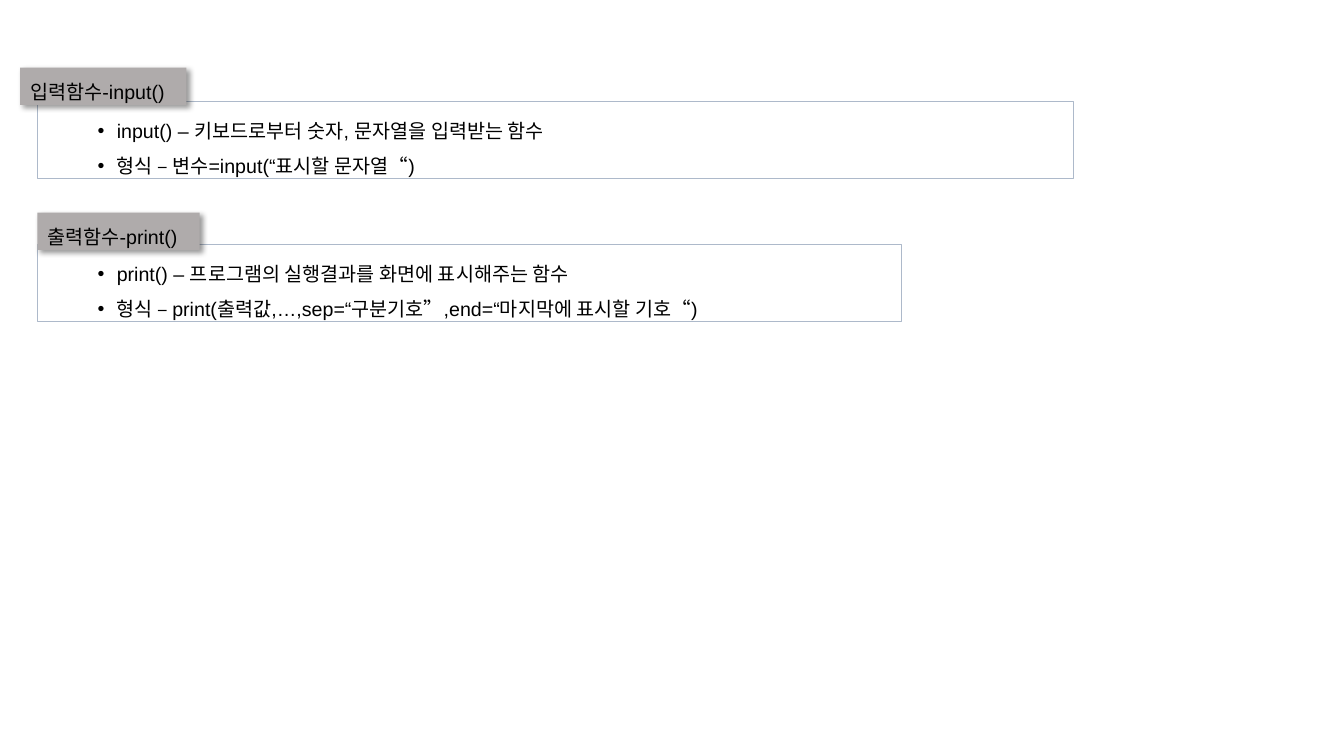
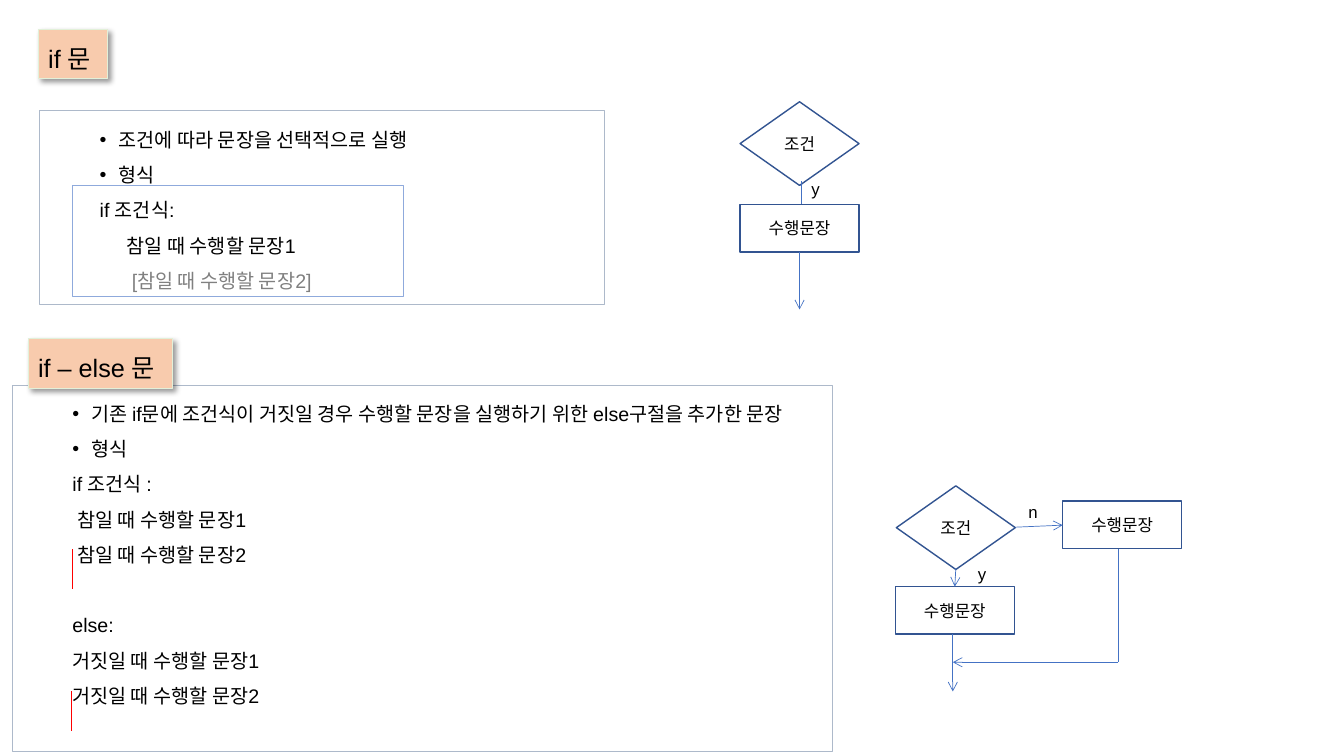
import lxml.etree
import pptx
import pptx.dml.color
import pptx.enum.shapes
import pptx.enum.text
import pptx.oxml.ns
import pptx.util

LATIN = "Arial"
KOREAN = "Noto Sans CJK KR"
BLACK = "000000"
GRAY = "808080"
RED = "FF0000"
PANEL_LINE = "ADB9CA"
CODE_LINE = "8FAADC"
FLOW_LINE = "325491"
ARROW_LINE = "4472C4"
GRAY_TAG = "AFABAB"
PEACH_TAG = "F8CBAD"
PEACH_TAG_LINE = "E2F0D9"

SHAPES = pptx.enum.shapes.MSO_SHAPE
BULLET = {"margin": 69, "hanging": 19, "bullet": "•"}
PLAIN = {"margin": 50}
NODE_WIDTH, DIAMOND_HEIGHT, STEP_HEIGHT = 118, 83, 47


def px(value):
    """Turn px into EMU at 100 px to the inch."""
    return pptx.util.Emu(value * 9144)


def color(value):
    """Turn a hex string into a colour."""
    return pptx.dml.color.RGBColor.from_string(value)


def child(parent, tag, **attributes):
    """Append a drawing element with attributes."""
    element = lxml.etree.SubElement(parent, pptx.oxml.ns.qn(tag))
    for name, value in attributes.items():
        element.set(name, str(value))
    return element


def write(paragraph, text, size=14, font=LATIN, fill=BLACK, spacing=None, before=0,
          level=0, margin=0, hanging=0, bullet=None, align=None):
    """Write one formatted paragraph."""
    paragraph.level = level
    paragraph.alignment = align
    if spacing:
        paragraph.line_spacing = spacing
    if before:
        paragraph.space_before = pptx.util.Pt(before)
    properties = paragraph._p.get_or_add_pPr()
    properties.set("marL", str(px(margin)))
    properties.set("indent", str(px(-hanging)))
    if bullet:
        child(properties, "a:buFont", typeface=LATIN)
        child(properties, "a:buChar", char=bullet)
    run = paragraph.add_run()
    run.text = text
    run.font.size = pptx.util.Pt(size)
    run.font.name = font
    run.font.color.rgb = color(fill)
    child(run.font._element, "a:ea", typeface=KOREAN)


class Deck:
    """Hold the presentation style and the current slide."""

    def __init__(self):
        """Start an empty wide presentation."""
        self.presentation = pptx.Presentation()
        self.presentation.slide_width = px(1333)
        self.presentation.slide_height = px(750)
        self.slide = None

    def new_slide(self):
        """Add a blank slide and make it current."""
        self.slide = self.presentation.slides.add_slide(self.presentation.slide_layouts[6])

    def shape(self, kind, left, top, width, height, fill=None, line=None, weight=0.75):
        """Draw a preset shape without a shadow."""
        shape = self.slide.shapes.add_shape(kind, px(left), px(top), px(width), px(height))
        shape.shadow.inherit = False
        if fill:
            shape.fill.solid()
            shape.fill.fore_color.rgb = color(fill)
        else:
            shape.fill.background()
        if line:
            shape.line.color.rgb = color(line)
            shape.line.width = pptx.util.Pt(weight)
        else:
            shape.line.fill.background()
        shape.text_frame.vertical_anchor = pptx.enum.text.MSO_ANCHOR.TOP
        return shape

    def fit(self, frame):
        """Let a frame grow with its unwrapped text."""
        frame.word_wrap = False
        frame.auto_size = pptx.enum.text.MSO_AUTO_SIZE.SHAPE_TO_FIT_TEXT

    def panel(self, left, top, width, height, lines):
        """Draw an outlined panel of text lines."""
        frame = self.shape(SHAPES.RECTANGLE, left, top, width, height, line=PANEL_LINE).text_frame
        frame.word_wrap = True
        for index, (text, style) in enumerate(lines):
            paragraph = frame.add_paragraph() if index else frame.paragraphs[0]
            write(paragraph, text, level=1, spacing=1.5, **style)

    def tag(self, text, left, top, width, height, fill, line=None, size=14):
        """Draw a shadowed heading tag."""
        shape = self.shape(SHAPES.RECTANGLE, left, top, width, height, fill, line)
        effects = shape._element.spPr.find(pptx.oxml.ns.qn("a:effectLst"))
        shadow = child(effects, "a:outerShdw", blurRad=pptx.util.Pt(4), dist=pptx.util.Pt(3),
                       dir=45 * 60000, algn="tl", rotWithShape=0)
        child(child(shadow, "a:srgbClr", val=BLACK), "a:alpha", val=40000)
        self.fit(shape.text_frame)
        write(shape.text_frame.paragraphs[0], text, size=size, spacing=1.3,
              align=pptx.enum.text.PP_ALIGN.LEFT)

    def node(self, kind, text, left, top, height):
        """Draw a flowchart node."""
        shape = self.shape(kind, left, top, NODE_WIDTH, height, line=FLOW_LINE, weight=1)
        shape.text_frame.vertical_anchor = pptx.enum.text.MSO_ANCHOR.MIDDLE
        write(shape.text_frame.paragraphs[0], text, size=12, font=KOREAN,
              align=pptx.enum.text.PP_ALIGN.CENTER)

    def condition(self, left, top):
        """Draw a condition diamond."""
        self.node(SHAPES.DIAMOND, "조건", left, top, DIAMOND_HEIGHT)

    def step(self, left, top):
        """Draw a statement box."""
        self.node(SHAPES.RECTANGLE, "수행문장", left, top, STEP_HEIGHT)

    def branch(self, text, left, top):
        """Write a branch letter."""
        frame = self.slide.shapes.add_textbox(px(left), px(top), px(29), px(30)).text_frame
        self.fit(frame)
        write(frame.paragraphs[0], text, size=12)

    def line(self, start, end, stroke=ARROW_LINE, arrow=False):
        """Draw a thin line or arrow."""
        connector = self.slide.shapes.add_connector(
            pptx.enum.shapes.MSO_CONNECTOR.STRAIGHT, *map(px, start + end))
        connector.line.color.rgb = color(stroke)
        connector.line.width = pptx.util.Pt(0.5)
        if arrow:
            child(connector.line._get_or_add_ln(), "a:tailEnd", type="arrow")
        child(connector._element.spPr, "a:effectLst")


def build_functions(deck):
    """Build the input and output functions slide."""
    deck.new_slide()
    deck.panel(37, 101, 1028, 76, [
        ("input() – 키보드로부터 숫자, 문자열을 입력받는 함수", BULLET),
        ("형식 – 변수=input(“표시할 문자열“)", BULLET),
    ])
    deck.tag("입력함수-input()", 20, 67, 165, 37, GRAY_TAG)
    deck.panel(37, 243, 857, 76, [
        ("print() – 프로그램의 실행결과를 화면에 표시해주는 함수", BULLET),
        ("형식 – print(출력값,…,sep=“구분기호”,end=“마지막에 표시할 기호“)", BULLET),
    ])
    deck.tag("출력함수-print()", 37, 211, 161, 37, GRAY_TAG)


def build_conditions(deck):
    """Build the if and if-else slide."""
    deck.new_slide()
    deck.tag("if 문", 38, 29, 69, 49, PEACH_TAG, PEACH_TAG_LINE, 18)
    deck.panel(39, 110, 561, 192, [
        ("조건에 따라 문장을 선택적으로 실행", BULLET),
        ("형식", BULLET),
        ("if 조건식:", PLAIN),
        ("참일 때 수행할 문장1", {"margin": 77}),
        ("[참일 때 수행할 문장2]", {"margin": 82, "fill": GRAY}),
    ])
    deck.shape(SHAPES.RECTANGLE, 72, 184, 328, 110, line=CODE_LINE)
    deck.condition(734, 101)
    deck.line((795, 180), (795, 203))
    deck.step(734, 203)
    deck.line((793, 250), (793, 307), arrow=True)
    deck.branch("y", 795, 172)

    deck.panel(12, 382, 814, 364, [
        ("기존 if문에 조건식이 거짓일 경우 수행할 문장을 실행하기 위한 else구절을 추가한 문장", BULLET),
        ("형식", BULLET),
        ("if 조건식 :", PLAIN),
        ("참일 때 수행할 문장1", {"margin": 55}),
        ("참일 때 수행할 문장2", {"margin": 55}),
        ("else:", {"margin": 50, "before": 25}),
        ("거짓일 때 수행할 문장1", PLAIN),
        ("거짓일 때 수행할 문장2", PLAIN),
    ])
    deck.condition(889, 482)
    deck.step(1054, 497)
    deck.step(888, 582)
    deck.branch("y", 960, 554)
    deck.branch("n", 1010, 493)
    deck.line((1007, 523), (1054, 521), arrow=True)
    deck.line((948, 564), (947, 582), arrow=True)
    deck.line((945, 629), (945, 686), arrow=True)
    deck.line((1109, 545), (1109, 657))
    deck.line((1109, 657), (945, 657), arrow=True)
    for left, top in ((72, 545), (71, 686)):
        deck.line((left, top), (left, top + 39), RED)
    deck.tag("if – else 문", 28, 336, 143, 49, PEACH_TAG, PEACH_TAG_LINE, 18)


def main():
    """Build and save the presentation."""
    deck = Deck()
    build_functions(deck)
    build_conditions(deck)
    deck.presentation.save("out.pptx")


if __name__ == "__main__":
    main()
